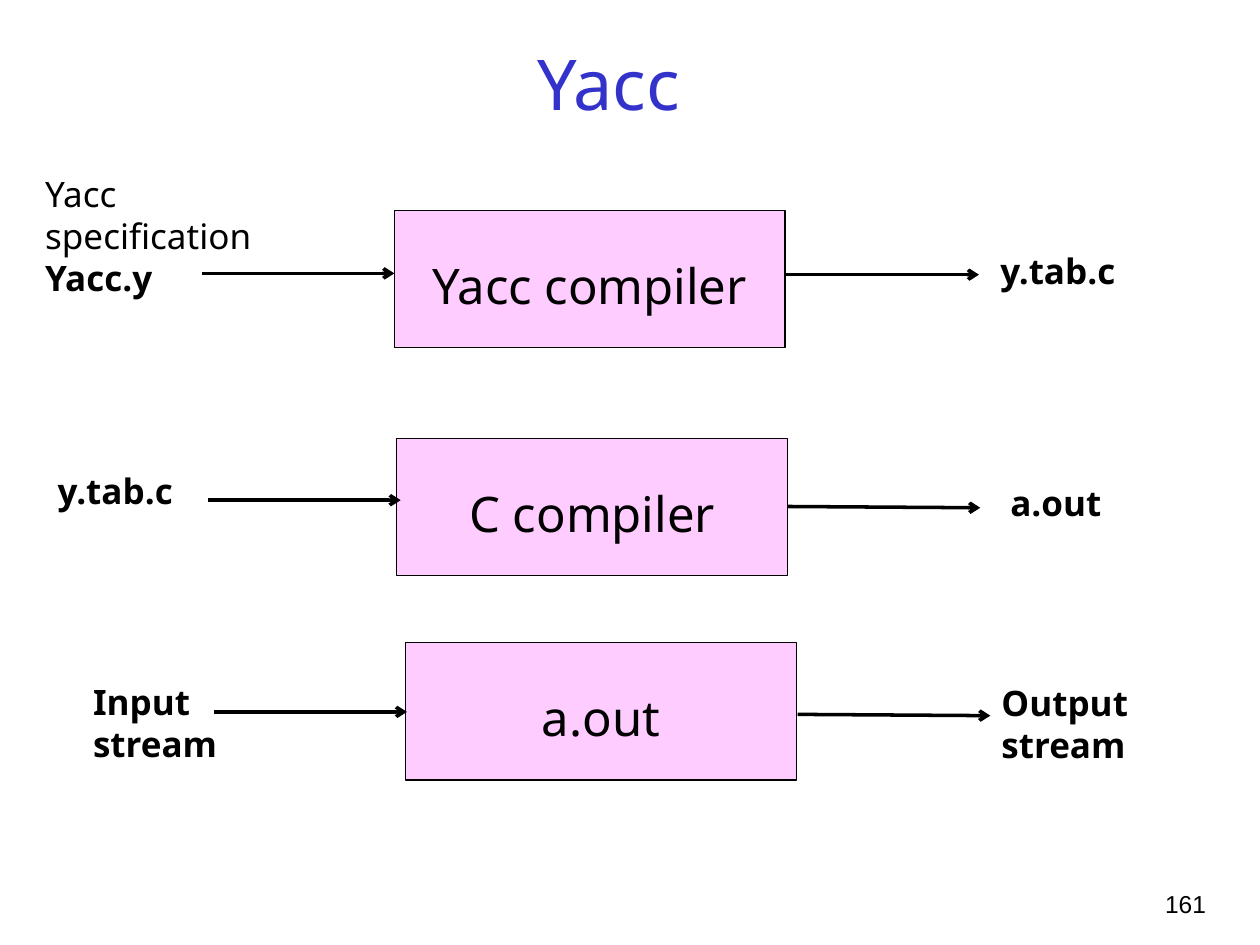
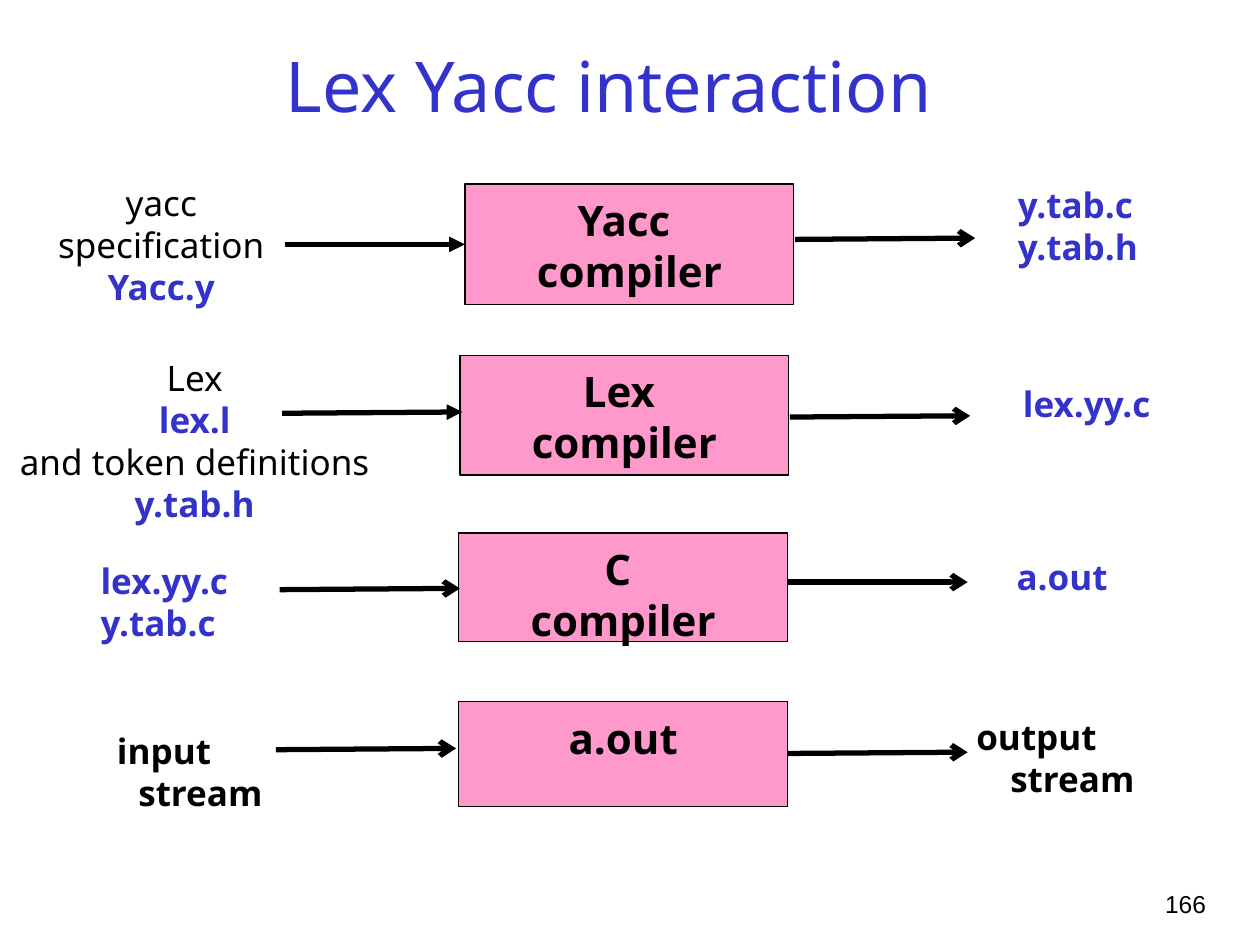
import pptx
import pptx.util
import pptx.dml.color
import pptx.enum.shapes
import pptx.enum.text
import pptx.oxml
import pptx.oxml.ns

Inches, Pt = pptx.util.Inches, pptx.util.Pt
ALIGN = pptx.enum.text.PP_ALIGN
ANCHOR = pptx.enum.text.MSO_ANCHOR
BLACK, BLUE = "000000", "3333CC"
FONT = "Noto Sans"


def rgb(color):
    return pptx.dml.color.RGBColor.from_string(color)


def write(tf, lines, size, align, top=0.08, font=FONT):
    tf.word_wrap = True
    tf.vertical_anchor = ANCHOR.TOP
    tf.margin_left = tf.margin_right = Inches(0.1)
    tf.margin_top, tf.margin_bottom = Inches(top), Inches(0.05)
    tf.text = "\n".join(line[0] for line in lines)
    for p, (text, bold, color, indent) in zip(tf.paragraphs, lines):
        p.alignment = align
        p.line_spacing = Pt(round(size * 1.21))
        if indent:
            p._p.get_or_add_pPr().set("marL", str(Inches(indent)))
        for r in p.runs:
            r.font.name, r.font.size, r.font.bold = font, Pt(size), bold
            r.font.color.rgb = rgb(color)


L, C, R = ALIGN.LEFT, ALIGN.CENTER, ALIGN.RIGHT
slides = [
    {
        "title": "Yacc", "title_height": 0.81, "number": "161",
        "fill": "FFCCFF", "box_width": 3.1, "box_size": 28, "box_bold": False, "box_top": 0.35,
        "line_width": 2, "arrow_length": 1.53,
        "boxes": [
            (3.13, 1.67, 1.09, "Yacc compiler"),
            (3.15, 3.48, 1.09, "C compiler"),
            (3.22, 5.1, 1.09, "a.out"),
        ],
        "arrows": [
            (1.6, 2.17, 2.17, "arrow"), (6.24, 2.18, 2.18, "arrow"),
            (1.65, 3.97, 3.97, "arrow"), (6.25, 4.02, 4.03, "arrow"),
            (1.7, 5.65, 5.65, "arrow"), (6.33, 5.67, 5.68, "arrow"),
        ],
        "labels": [
            (0.26, 1.29, 1.91, 1.1, L, [("Yacc specification", False, BLACK, 0),
                                        ("Yacc.y", True, BLACK, 0)]),
            (7.84, 1.9, 1.91, 0.44, L, [("y.tab.c", True, BLACK, 0)]),
            (0.36, 3.65, 1.91, 0.44, L, [("y.tab.c", True, BLACK, 0)]),
            (7.92, 3.74, 1.77, 0.44, L, [("a.out", True, BLACK, 0)]),
            (0.64, 5.32, 1.53, 0.77, L, [("Input", True, BLACK, 0),
                                         ("stream", True, BLACK, 0)]),
            (7.85, 5.33, 1.53, 0.77, L, [("Output stream", True, BLACK, 0)]),
        ],
    },
    {
        "title": "Lex Yacc interaction", "title_height": 0.84, "number": "166",
        "fill": "FF99CC", "box_width": 2.61, "box_size": 24, "box_bold": True, "box_top": 0.08,
        "line_width": 3, "arrow_length": 1.43,
        "boxes": [
            (3.69, 1.46, 0.96, "Yacc \ncompiler"),
            (3.65, 2.82, 0.95, "Lex \ncompiler"),
            (3.64, 4.23, 0.86, "C \ncompiler"),
            (3.64, 5.57, 0.83, "a.out"),
        ],
        "arrows": [
            (2.26, 1.94, 1.94, "triangle"), (6.31, 1.9, 1.89, "arrow"),
            (2.24, 3.28, 3.27, "triangle"), (6.27, 3.31, 3.3, "arrow"),
            (2.22, 4.68, 4.67, "arrow"), (6.25, 4.62, 4.62, "arrow"),
            (2.19, 5.95, 5.94, "arrow"), (6.25, 5.98, 5.97, "arrow"),
        ],
        "labels": [
            (0.2, 1.36, 2.16, 1.1, C, [("yacc specification", False, BLACK, 0),
                                       ("Yacc.y", True, BLUE, 0)]),
            (7.98, 1.38, 1.8, 0.77, L, [("y.tab.c", True, BLUE, 0),
                                        ("y.tab.h", True, BLUE, 0)]),
            (0, 2.75, 3.09, 1.44, C, [("Lex", False, BLACK, 0),
                                      ("lex.l", True, BLUE, 0),
                                      ("and token definitions", False, BLACK, 0),
                                      ("y.tab.h", True, BLUE, 0)]),
            (8.02, 2.96, 1.8, 0.44, L, [("lex.yy.c", True, BLUE, 0)]),
            (0.7, 4.36, 1.8, 0.77, L, [("lex.yy.c", True, BLUE, 0),
                                       ("y.tab.c", True, BLUE, 0)]),
            (7.97, 4.33, 1.8, 0.44, L, [("a.out", True, BLUE, 0)]),
            (0.83, 5.71, 1.84, 0.77, L, [("input", True, BLACK, 0),
                                         ("stream", True, BLACK, 0.17)]),
            (7.65, 5.6, 1.95, 0.77, L, [("output", True, BLACK, 0),
                                        ("stream", True, BLACK, 0.27)]),
        ],
    },
]

prs = pptx.Presentation()
prs.slide_width, prs.slide_height = Inches(10), Inches(7.5)

for d in slides:
    s = prs.slides.add_slide(prs.slide_layouts[5])
    sp = s.shapes.title
    sp.left, sp.top = Inches(0.58), Inches(0.25)
    sp.width, sp.height = Inches(8.5), Inches(d["title_height"])
    tf = sp.text_frame
    tf.text = d["title"]
    tf.auto_size = pptx.enum.text.MSO_AUTO_SIZE.NONE
    tf.vertical_anchor = ANCHOR.MIDDLE
    tf.margin_top = tf.margin_bottom = 0
    p = tf.paragraphs[0]
    p.alignment = C
    r = p.runs[0]
    r.font.name, r.font.size = FONT, Pt(40)
    r.font.color.rgb = rgb(BLUE)

    sp = s.shapes.add_textbox(Inches(8.93), Inches(7), Inches(0.74), Inches(0.5))
    write(sp.text_frame, [(d["number"], False, BLACK, 0)], 14, R, 0.05, "Arial")

    for x, y, h, text in d["boxes"]:
        sp = s.shapes.add_shape(pptx.enum.shapes.MSO_SHAPE.RECTANGLE,
                                Inches(x), Inches(y), Inches(d["box_width"]), Inches(h))
        sp.shadow.inherit = False
        sp.fill.solid()
        sp.fill.fore_color.rgb = rgb(d["fill"])
        sp.line.color.rgb = rgb(BLACK)
        sp.line.width = Pt(0.75)
        lines = [(t, d["box_bold"], BLACK, 0) for t in text.split("\n")]
        write(sp.text_frame, lines, d["box_size"], C, d["box_top"])

    for x, y1, y2, head in d["arrows"]:
        sp = s.shapes.add_connector(pptx.enum.shapes.MSO_CONNECTOR.STRAIGHT, Inches(x), Inches(y1),
                                    Inches(x + d["arrow_length"]), Inches(y2))
        sp.line.color.rgb = rgb(BLACK)
        sp.line.width = Pt(d["line_width"])
        ln = sp.line._get_or_add_ln()
        tail = pptx.oxml.parse_xml('<a:tailEnd %s type="%s"/>' % (pptx.oxml.ns.nsdecls("a"), head))
        ln.append(tail)
        effects = pptx.oxml.parse_xml("<a:effectLst %s/>" % pptx.oxml.ns.nsdecls("a"))
        ln.addnext(effects)

    for x, y, w, h, align, lines in d["labels"]:
        sp = s.shapes.add_textbox(Inches(x), Inches(y), Inches(w), Inches(h))
        write(sp.text_frame, lines, 20, align)

prs.save("out.pptx")
